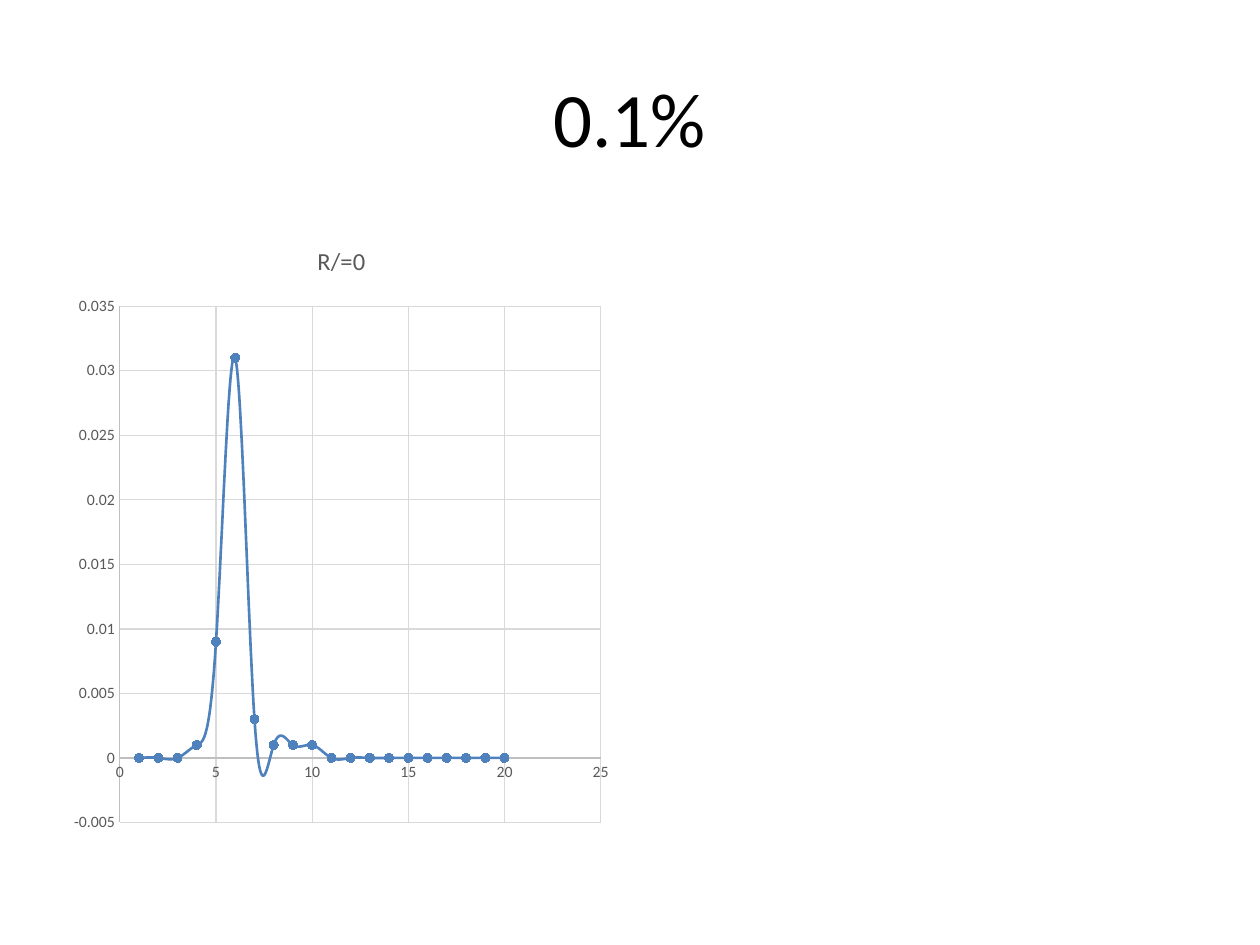
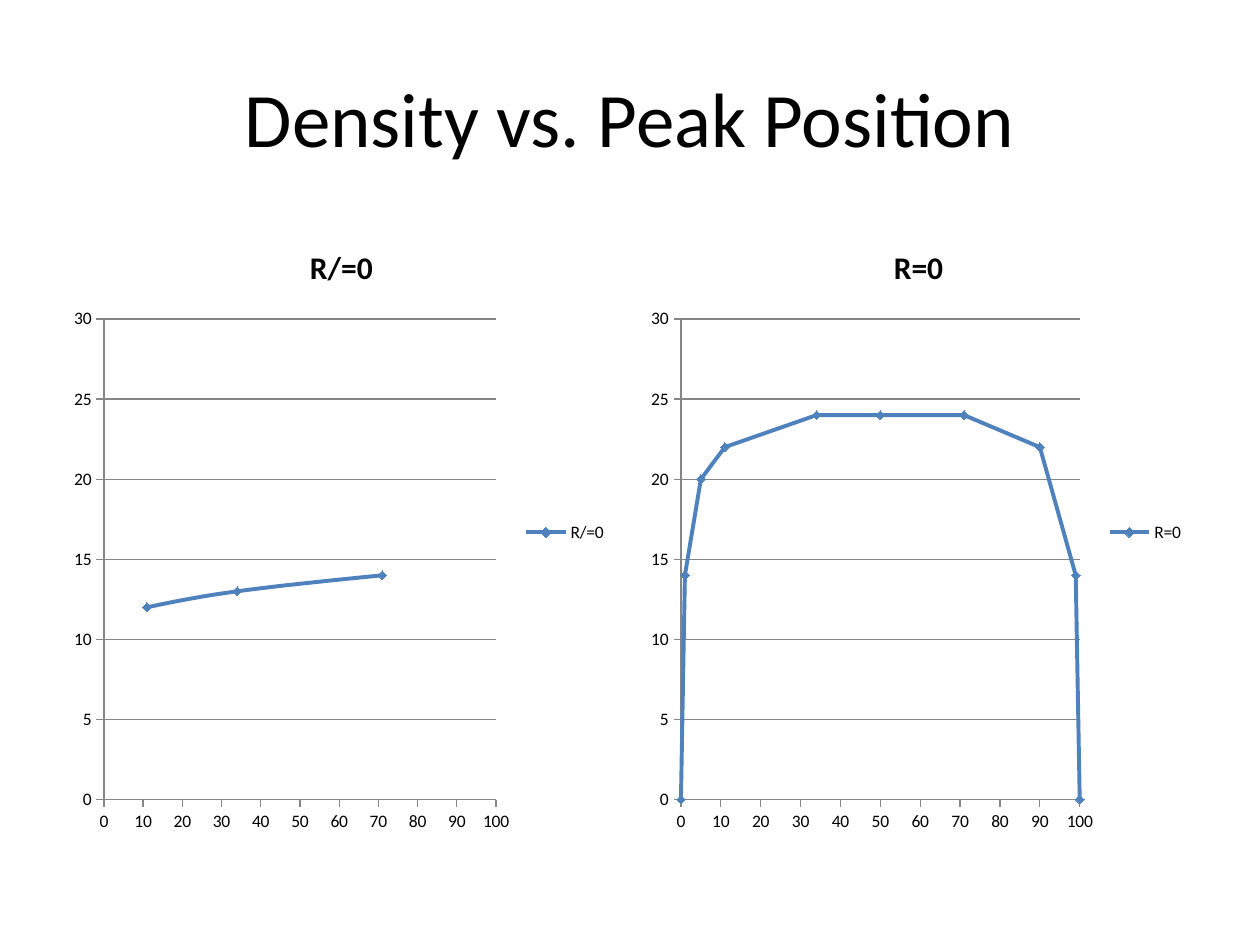
from pptx import Presentation
from pptx.chart.data import XyChartData as XyData
from pptx.dml.color import RGBColor
from pptx.enum.chart import XL_CHART_TYPE as Kind
from pptx.enum.chart import XL_LEGEND_POSITION as Side
from pptx.enum.chart import XL_MARKER_STYLE as Mark
from pptx.enum.chart import XL_TICK_MARK as Tick
from pptx.enum.text import MSO_ANCHOR as Anchor
from pptx.enum.text import PP_ALIGN as Align
from pptx.oxml.ns import qn
from pptx.util import Inches, Pt

FACE = "Calibri"
BLACK = RGBColor(0x00, 0x00, 0x00)
GRAY = RGBColor(0x59, 0x59, 0x59)
BLUE = RGBColor(0x4F, 0x81, 0xBD)
RULE = RGBColor(0x86, 0x86, 0x86)
EDGE = RGBColor(0xBF, 0xBF, 0xBF)
GRID = RGBColor(0xD9, 0xD9, 0xD9)

LEFT, RIGHT = 0.5, 5.08
LIGHT = dict(ink=GRAY, size=9, head=14, bold=False, edge=EDGE, grid=GRID,
             tick=Tick.NONE, mark=Mark.CIRCLE, width=1.5,
             across=True, legend=False)
DARK = dict(ink=BLACK, size=10, head=18, bold=True, edge=RULE, grid=RULE,
            tick=Tick.OUTSIDE, mark=Mark.DIAMOND, width=2.25,
            across=False, legend=True)


def write(frame, text, size=44, color=BLACK, bold=False):
    para = frame.paragraphs[0]
    para.alignment = Align.CENTER
    run = para.add_run()
    run.text = text
    font = run.font
    font.name, font.size, font.bold = FACE, Pt(size), bold
    font.color.rgb = color


def plot(slide, left, kind, title, name, points, spans, look):
    data = XyData()
    line = data.add_series(name)
    for x, y in points:
        line.add_data_point(x, y)
    chart = slide.shapes.add_chart(kind, Inches(left), Inches(1.75),
                                   Inches(4.42), Inches(4.95), data).chart
    chart.font.name, chart.font.size = FACE, Pt(look["size"])
    chart.font.color.rgb = look["ink"]
    chart.has_title = True
    write(chart.chart_title.text_frame, title, size=look["head"],
          color=look["ink"], bold=look["bold"])
    chart.has_legend = look["legend"]
    if look["legend"]:
        chart.legend.position = Side.RIGHT
        chart.legend.include_in_layout = False

    axes = (chart.category_axis, chart.value_axis)
    for axis, (low, high, step), grid in zip(axes, spans, (look["across"], True)):
        axis.minimum_scale, axis.maximum_scale = low, high
        axis.major_unit = step
        axis.major_tick_mark, axis.minor_tick_mark = look["tick"], Tick.NONE
        axis.tick_labels.number_format = "General"
        axis.tick_labels.number_format_is_linked = False
        axis.format.line.color.rgb = look["edge"]
        axis.format.line.width = Pt(0.75)
        axis.has_major_gridlines = grid
        if grid:
            rule = axis.major_gridlines.format.line
            rule.color.rgb, rule.width = look["grid"], Pt(0.75)

    chart.plots[0].vary_by_categories = False
    curve = chart.plots[0].series[0]
    smooth = "1" if kind == Kind.XY_SCATTER_SMOOTH else "0"
    curve._element.find(qn("c:smooth")).set("val", smooth)
    curve.format.line.color.rgb = BLUE
    curve.format.line.width = Pt(look["width"])
    mark = curve.marker
    mark.style, mark.size = look["mark"], 5
    mark.format.fill.solid()
    mark.format.fill.fore_color.rgb = BLUE
    mark.format.line.color.rgb = BLUE


deck = Presentation()
deck.slide_width, deck.slide_height = Inches(10), Inches(7.5)

pages = []
for text in ("0.1%", "Density vs. Peak Position"):
    page = deck.slides.add_slide(deck.slide_layouts[6])
    box = page.shapes.add_textbox(Inches(0.5), Inches(0.3), Inches(9), Inches(1.25))
    box.text_frame.word_wrap = True
    box.text_frame.vertical_anchor = Anchor.MIDDLE
    write(box.text_frame, text)
    pages.append(page)
first, second = pages

peak = [0, 0, 0, 0.001, 0.009, 0.031, 0.003, 0.001, 0.001, 0.001] + [0] * 10
plot(first, LEFT, Kind.XY_SCATTER_SMOOTH, "R/=0", "Series 1",
     enumerate(peak, 1), [(0, 25, 5), (-0.005, 0.035, 0.005)], LIGHT)

spans = [(0, 100, 10), (0, 30, 5)]
rise = [(11, 12), (34, 13), (71, 14)]
arch = [(0, 0), (1, 14), (5, 20), (11, 22), (34, 24),
        (50, 24), (71, 24), (90, 22), (99, 14), (100, 0)]
for left, kind, name, points in (
        (LEFT, Kind.XY_SCATTER_SMOOTH, "R/=0", rise),
        (RIGHT, Kind.XY_SCATTER_LINES, "R=0", arch)):
    plot(second, left, kind, name, name, points, spans, DARK)

deck.save("out.pptx")
